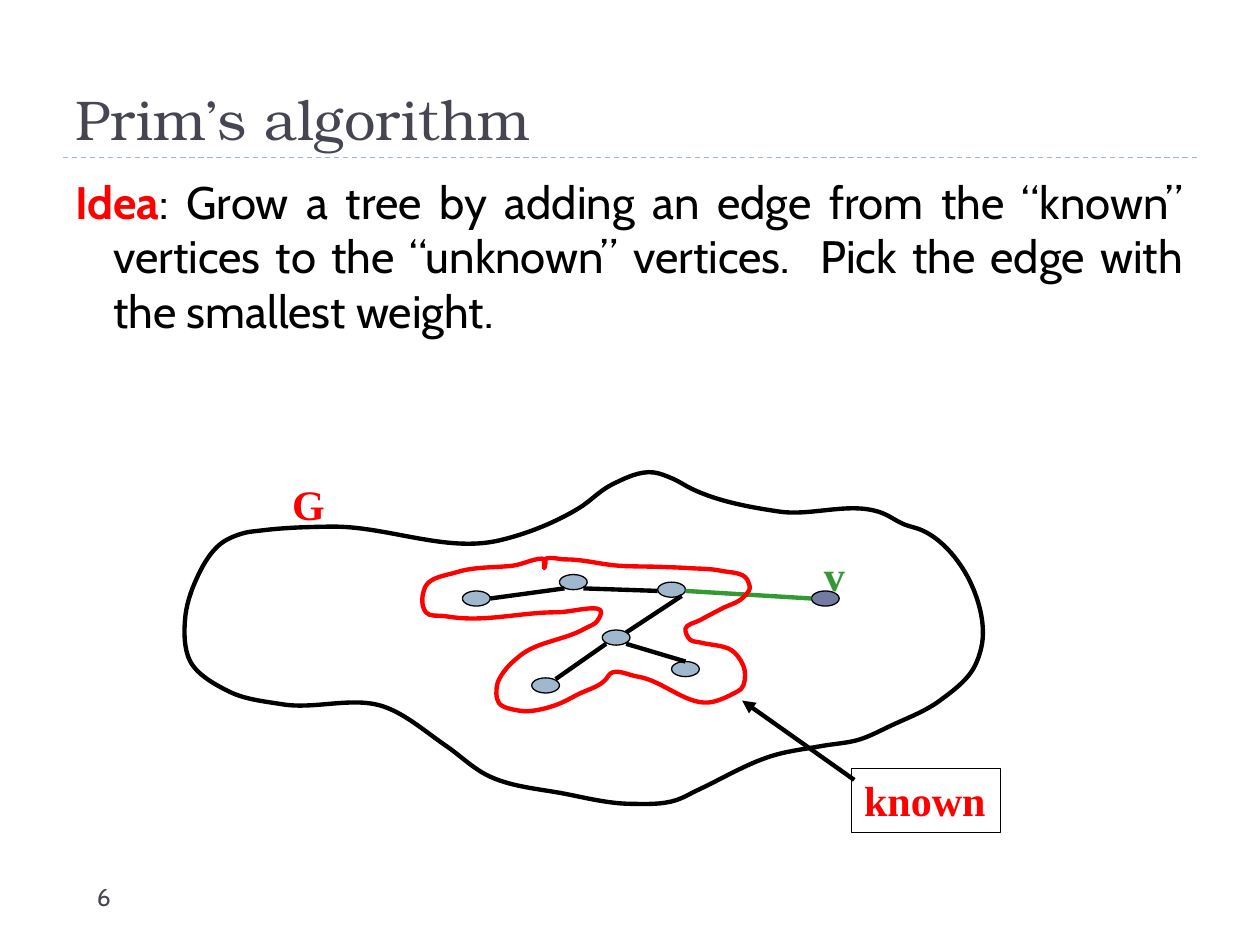
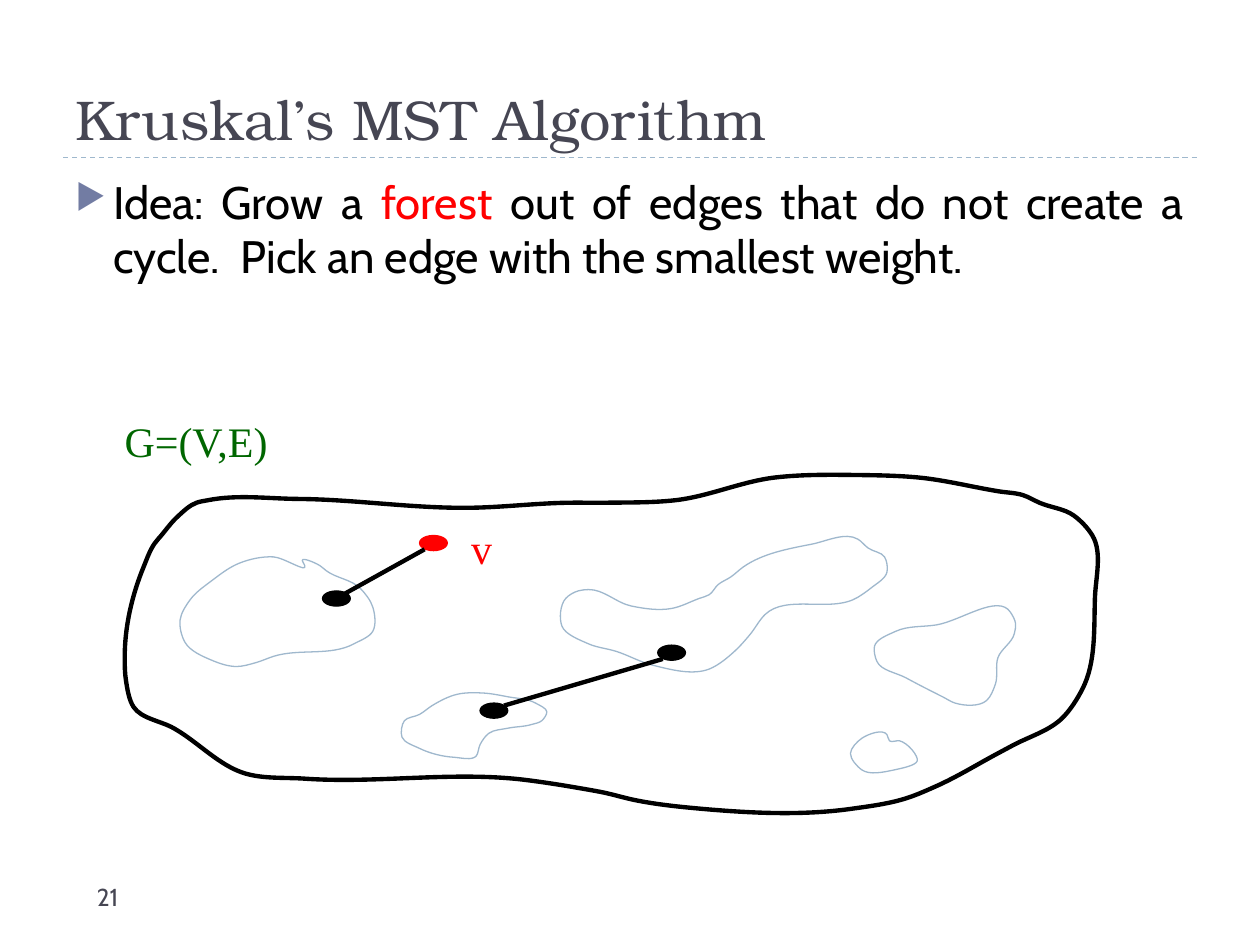
from math import hypot

from lxml.etree import SubElement
from pptx import Presentation
from pptx.dml.color import RGBColor
from pptx.enum.dml import MSO_LINE
from pptx.enum.shapes import MSO_CONNECTOR, MSO_SHAPE
from pptx.enum.text import MSO_ANCHOR, MSO_AUTO_SIZE, PP_ALIGN
from pptx.oxml.ns import qn
from pptx.util import Inches, Pt

BLACK = RGBColor(0x00, 0x00, 0x00)
RED = RGBColor(0xFF, 0x00, 0x00)
GREEN = RGBColor(0x33, 0x99, 0x33)
DARK = RGBColor(0x00, 0x66, 0x00)
SLATE = RGBColor(0x46, 0x46, 0x53)
PALE = RGBColor(0x9F, 0xB8, 0xCD)
BLUE = RGBColor(0x72, 0x7C, 0xA3)
HEAD, BODY, MATH = "TeX Gyre Bonum", "Cabin", "Times New Roman"
THICK, THIN = 2.5, 0.75


def blob(slide, points, color, width):
    """Draw a closed smooth outline through the points, given in inches."""
    spots = [(Inches(x), Inches(y)) for x, y in points]
    spots.append(spots[0])
    pen = slide.shapes.build_freeform(*spots[0])
    pen.add_line_segments(spots[1:], close=True)
    shape = pen.convert_to_shape()
    shape.shadow.inherit = False
    shape.fill.background()
    shape.line.color.rgb = color
    shape.line.width = Pt(width)

    # The slope at a point leans towards its nearer neighbour
    slopes = []
    for i, (x, y) in enumerate(spots[:-1]):
        (px, py), (nx, ny) = spots[i - 1 if i else -2], spots[i + 1]
        back, ahead = hypot(x - px, y - py), hypot(nx - x, ny - y)
        total = back + ahead
        slopes.append((((x - px) / back * ahead + (nx - x) / ahead * back) / total,
                       ((y - py) / back * ahead + (ny - y) / ahead * back) / total))
    slopes.append(slopes[0])

    # Turn each straight piece into a curve
    for i, piece in enumerate(list(shape._element.iter(qn("a:lnTo")))):
        (x, y), (nx, ny) = spots[i], spots[i + 1]
        third = hypot(nx - x, ny - y) / 3
        piece.tag = qn("a:cubicBezTo")
        for n, (hx, hy) in enumerate((
                (x + third * slopes[i][0], y + third * slopes[i][1]),
                (nx - third * slopes[i + 1][0], ny - third * slopes[i + 1][1]))):
            spot = SubElement(piece, qn("a:pt"), x=str(round(hx - shape.left)),
                              y=str(round(hy - shape.top)))
            piece.insert(n, spot)


def link(slide, ends, color, width=THICK):
    """Draw a straight line between two points, free of shadow."""
    line = slide.shapes.add_connector(MSO_CONNECTOR.STRAIGHT, *map(Inches, ends))
    SubElement(line._element.spPr, qn("a:effectLst"))
    line.line.color.rgb = color
    line.line.width = Pt(width)
    return line


# Outlines
prim_graph = [
    (4.6, 4.03), (3.96, 4.29), (2.62, 4.18), (2.08, 4.21), (1.94, 4.23), (1.79, 4.29),
    (1.54, 4.64), (1.47, 4.9), (1.51, 5.25), (1.82, 5.49), (2.24, 5.59), (3.05, 5.61),
    (3.54, 5.92), (3.86, 6.15), (4.48, 6.3), (5, 6.38), (5.37, 6.35), (5.54, 6.27),
    (6.16, 5.99), (6.53, 5.92), (6.82, 5.87), (7.07, 5.76), (7.46, 5.56), (7.74, 5.28),
    (7.79, 5.13), (7.71, 4.64), (7.32, 4.21), (7.17, 4.16), (7.02, 4.08), (6.18, 4.06),
    (5.49, 3.88), (5.34, 3.8), (5.19, 3.75), (4.85, 3.85)]
known_part = [
    (4.32, 4.51), (4.33, 4.46), (4.07, 4.49), (3.63, 4.54), (3.38, 4.65), (3.36, 4.82),
    (3.38, 4.86), (3.53, 4.89), (3.6, 4.9), (4.42, 4.86), (4.77, 4.87), (4.74, 4.93),
    (4.64, 4.99), (4.12, 5.21), (4, 5.33), (3.95, 5.42), (3.96, 5.58), (4.12, 5.64),
    (4.4, 5.6), (4.59, 5.51), (4.81, 5.39), (4.84, 5.35), (5.06, 5.37), (5.66, 5.57),
    (5.83, 5.5), (5.88, 5.47), (5.91, 5.32), (5.83, 5.18), (5.56, 5.1), (5.48, 5.08),
    (5.44, 4.99), (5.56, 4.92), (5.73, 4.83), (5.9, 4.74), (5.95, 4.67), (5.93, 4.6),
    (5.72, 4.53), (5.48, 4.51), (5.26, 4.5), (4.91, 4.49), (4.49, 4.44), (4.32, 4.45)]
kruskal_graph = [
    (4.81, 3.99), (4.52, 3.99), (3.73, 4.03), (2.37, 3.96), (1.65, 3.97), (1.56, 3.99),
    (1.41, 4.1), (1.28, 4.25), (1.23, 4.31), (1.14, 4.5), (0.99, 5.22), (1, 5.4),
    (1.06, 5.61), (1.38, 5.78), (1.95, 6.14), (2.42, 6.18), (4.17, 6.19), (4.57, 6.25),
    (4.79, 6.29), (5.04, 6.35), (5.58, 6.42), (6.75, 6.42), (7.21, 6.33),
    (7.43, 6.24), (7.9, 5.99), (8.03, 5.92), (8.44, 5.69), (8.59, 5.47), (8.69, 4.75),
    (8.67, 4.25), (8.52, 4.09), (8.25, 3.99), (8.12, 3.93), (7.93, 3.9), (7.29, 3.79),
    (6.82, 3.77), (6.15, 3.79), (5.36, 3.97)]
trees = [
    [(2.42, 4.49), (2.17, 4.42), (1.9, 4.47), (1.68, 4.61), (1.51, 4.76), (1.43, 4.92),
     (1.47, 5.1), (1.68, 5.24), (1.88, 5.29), (2.03, 5.26), (2.17, 5.21),
     (2.81, 5.11), (2.96, 5.01), (2.96, 4.82), (2.86, 4.67), (2.59, 4.53), (2.54, 4.49),
     (2.4, 4.45)],
    [(6.81, 4.28), (6.44, 4.32), (5.9, 4.5), (5.8, 4.58), (5.7, 4.64), (5.63, 4.72),
     (5.55, 4.75), (5.33, 4.83), (5.01, 4.81), (4.67, 4.68), (4.59, 4.69),
     (4.49, 4.75), (4.46, 4.97), (4.67, 5.11), (4.89, 5.17), (5.18, 5.28),
     (5.63, 5.31), (5.83, 5.17), (5.95, 5.04), (6.07, 4.88),
     (6.81, 4.74), (6.91, 4.67), (7.04, 4.54), (7.02, 4.42), (6.89, 4.35)],
    [(7.06, 5.88), (7.04, 5.83), (6.84, 5.86), (6.75, 5.98), (6.84, 6.11), (7.1, 6.11),
     (7.28, 6.04), (7.14, 5.88)],
    [(4.25, 5.58), (4.03, 5.53), (3.83, 5.5), (3.63, 5.51), (3.43, 5.6),
     (3.33, 5.67), (3.21, 5.72), (3.19, 5.85), (3.33, 5.94), (3.6, 6.01),
     (3.78, 6), (3.81, 5.91), (3.88, 5.82), (4.03, 5.78), (4.22, 5.75),
     (4.3, 5.72), (4.34, 5.65)],
    [(8.02, 4.86), (7.43, 4.96), (7.11, 5.01), (6.94, 5.13), (6.96, 5.25),
     (7.19, 5.38), (7.48, 5.53), (7.58, 5.58), (7.83, 5.56), (7.9, 5.43),
     (7.92, 5.22), (8.05, 5.03), (8.06, 4.95)]]

# Title, page, bullet, idea, outlines, nodes, edges, labels
pages = [
    ("Prim’s algorithm", "6", False,
     [("Idea", RED, True),
      (": Grow a tree by adding an edge from the “known” vertices to the “unknown” "
       "vertices.  Pick the edge with the smallest weight.", BLACK, False)],
     [(prim_graph, BLACK, THICK)],
     [(x, y, PALE, BLACK) for x, y in ((3.67, 4.69), (4.22, 5.38), (4.44, 4.56),
                                       (4.78, 5), (5.33, 5.25), (5.22, 4.62))]
     + [(6.44, 4.69, BLUE, BLACK)],
     [((3.89, 4.75, 4.48, 4.67), BLACK), ((4.63, 4.67, 5.22, 4.69), BLACK),
      ((4.97, 5.02, 5.41, 4.73), BLACK), ((5.44, 5.25, 4.97, 5.11), BLACK),
      ((4.41, 5.39, 4.81, 5.11), BLACK), ((5.44, 4.69, 6.44, 4.75), GREEN)],
     [("G", (2.22, 3.75, 0.46, 0.5), RED, True, False),
      ("v", (6.44, 4.31, 0.37, 0.5), GREEN, True, False),
      ("known", (6.76, 6.1, 1.18, 0.51), RED, True, True)]),
    ("Kruskal’s MST Algorithm", "21", True,
     [("Idea: Grow a ", BLACK, False), ("forest", RED, False),
      (" out of edges that do not create a cycle.  Pick an edge with the smallest weight.",
       BLACK, False)],
     [(kruskal_graph, BLACK, THICK)] + [(tree, PALE, THIN) for tree in trees],
     [(2.56, 4.69, BLACK, BLACK), (3.33, 4.25, RED, RED),
      (3.81, 5.58, BLACK, BLACK), (5.22, 5.12, BLACK, BLACK)],
     [((2.74, 4.71, 3.37, 4.36), BLACK), ((4, 5.6, 5.26, 5.23), BLACK)],
     [("G=(V,E)", (0.89, 3.25, 1.84, 0.38), DARK, False, False),
      ("v", (3.64, 4.1, 0.49, 0.38), RED, False, False)])]

prs = Presentation()
prs.slide_width, prs.slide_height = Inches(10), Inches(7.5)

for title, page, bullet, idea, outlines, nodes, edges, labels in pages:
    slide = prs.slides.add_slide(prs.slide_layouts[6])
    shapes = slide.shapes
    link(slide, (0.5, 1.25, 9.5, 1.25), PALE, THIN).line.dash_style = MSO_LINE.DASH

    for words, place, face, size, anchor in (
            (title, (0.5, 0.17, 9, 1.08), HEAD, 32, MSO_ANCHOR.BOTTOM),
            (page, (0.67, 6.95, 2.17, 0.4), BODY, 14, MSO_ANCHOR.TOP)):
        frame = shapes.add_textbox(*map(Inches, place)).text_frame
        frame.word_wrap = True
        frame.vertical_anchor = anchor
        frame.text = words
        font = frame.paragraphs[0].runs[0].font
        font.name, font.size, font.color.rgb = face, Pt(size), SLATE

    frame = shapes.add_textbox(*map(Inches, (0.5, 1.33, 9, 5.4))).text_frame
    frame.word_wrap = True
    para = frame.paragraphs[0]
    para.alignment = PP_ALIGN.JUSTIFY
    props = para._p.get_or_add_pPr()
    props.set("marL", str(Inches(0.3)))
    props.set("indent", str(Inches(-0.3)))
    if bullet:
        tint = SubElement(props, qn("a:buClr"))
        SubElement(tint, qn("a:srgbClr"), val=str(BLUE))
        SubElement(props, qn("a:buSzPct"), val="76000")
        SubElement(props, qn("a:buChar"), char="▶")
    for words, color, bold in idea:
        run = para.add_run()
        run.text = words
        font = run.font
        font.name, font.size, font.bold, font.color.rgb = BODY, Pt(26), bold, color

    for points, color, width in outlines:
        blob(slide, points, color, width)

    for x, y, fill, edge in nodes:
        node = shapes.add_shape(MSO_SHAPE.OVAL, *map(Inches, (x, y, 0.22, 0.12)))
        node.shadow.inherit = False
        node.fill.solid()
        node.fill.fore_color.rgb = fill
        node.line.color.rgb = edge
        node.line.width = Pt(THIN)

    for ends, color in edges:
        link(slide, ends, color)

    for words, place, color, bold, boxed in labels:
        if boxed:
            label = shapes.add_shape(MSO_SHAPE.RECTANGLE, *map(Inches, place))
            label.shadow.inherit = False
            label.fill.background()
            label.line.color.rgb = BLACK
            label.line.width = Pt(THIN)
        else:
            label = shapes.add_textbox(*map(Inches, place))
        frame = label.text_frame
        frame.word_wrap = False
        frame.auto_size = MSO_AUTO_SIZE.SHAPE_TO_FIT_TEXT
        frame.vertical_anchor = MSO_ANCHOR.TOP
        frame.text = words
        frame.paragraphs[0].alignment = PP_ALIGN.LEFT
        font = frame.paragraphs[0].runs[0].font
        font.name, font.size, font.bold, font.color.rgb = MATH, Pt(24), bold, color

# The known part of Prim's graph, and the arrow to it
prim = prs.slides[0]
blob(prim, known_part, RED, THICK)
arrow = link(prim, (6.78, 6.19, 5.89, 5.56), BLACK)
SubElement(arrow._element.spPr.find(qn("a:ln")), qn("a:tailEnd"), type="triangle")

prs.save("out.pptx")
